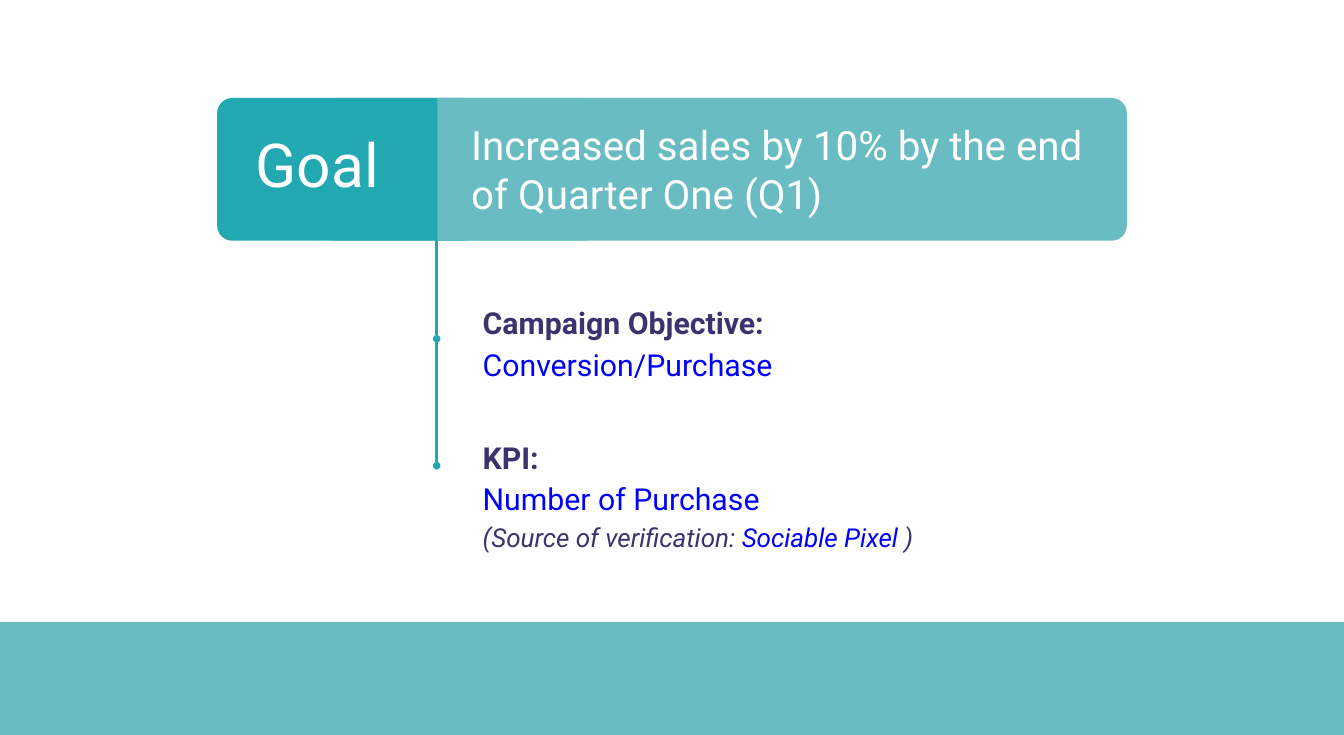
"""Campaign goal slide with its objective and KPI."""
from lxml.etree import SubElement
from pptx import Presentation
from pptx.dml.color import RGBColor
from pptx.enum.shapes import MSO_CONNECTOR, MSO_SHAPE
from pptx.enum.text import MSO_ANCHOR
from pptx.oxml.ns import qn
from pptx.util import Inches, Pt

COLORS = {"teal": "21A8B0", "aqua": "69BCC1", "plum": "3B336E",
          "blue": "0000FF", "white": "FFFFFF"}


def color(name):
    return RGBColor.from_string(COLORS[name])


def write(par, text, size=36, tint="plum", bold=False, italic=False, font="Roboto"):
    run = par.add_run()
    run.text = text
    face = run.font
    face.name, face.size = font, Pt(size)
    face.bold, face.italic = bold, italic
    face.color.rgb = color(tint)


class Board:
    def __init__(self, deck):
        self.slide = deck.slides.add_slide(deck.slide_layouts[6])
        self.shapes = self.slide.shapes

    def block(self, left, top, width, height, tint, round=0):
        kind = MSO_SHAPE.ROUNDED_RECTANGLE if round else MSO_SHAPE.RECTANGLE
        shape = self.shapes.add_shape(
            kind, Inches(left), Inches(top), Inches(width), Inches(height))
        if round:
            shape.adjustments[0] = round
        shape.shadow.inherit = False
        shape.fill.solid()
        shape.fill.fore_color.rgb = color(tint)
        shape.line.fill.background()

    def stem(self, x, top, end):
        line = self.shapes.add_connector(
            MSO_CONNECTOR.STRAIGHT, Inches(x), Inches(top), Inches(x), Inches(end))
        line.line.color.rgb = color("teal")
        line.line.width = Pt(3)
        SubElement(line.line._get_or_add_ln(), qn("a:tailEnd"), type="oval")
        SubElement(line._element.spPr, qn("a:effectLst"))

    def text(self, left, top, width, height, rows, inset=0.22, space=1.0):
        box = self.shapes.add_textbox(
            Inches(left), Inches(top), Inches(width), Inches(height))
        frame = box.text_frame
        frame.word_wrap = True
        frame.vertical_anchor = MSO_ANCHOR.MIDDLE
        frame.margin_left = frame.margin_right = Inches(inset)
        frame.margin_top = frame.margin_bottom = Inches(inset)
        for i, row in enumerate(rows):
            par = frame.add_paragraph() if i else frame.paragraphs[0]
            par.line_spacing = space
            for words, style in row:
                write(par, words, **style)


def main():
    deck = Presentation()
    deck.slide_width, deck.slide_height = Inches(22.22), Inches(12.15)
    board = Board(deck)
    head, value = {"bold": True}, {"tint": "blue"}
    note = {"size": 31, "italic": True}

    board.block(0, 10.28, 22.22, 1.87, "aqua")
    for top in (5.6, 3.5):
        board.stem(7.22, top, top + 2.1)

    board.text(7.76, 4.88, 6.92, 1.5, [
        [("Campaign Objective:", head)],
        [("Conversion/Purchase", value)],
    ], space=1.15)
    board.text(7.76, 6.89, 10.05, 2.52, [
        [("KPI:", head)],
        [("Number of Purchase", value)],
        [("(Source of verification: ", note),
         ("Sociable Pixel ", note | value),
         (")", note)],
    ], space=1.15)

    for left, width, tint, round in ((5.31, 13.32, "aqua", 0.106),
                                     (3.59, 4.31, "teal", 0.106),
                                     (7.23, 2.46, "aqua", 0)):
        board.block(left, 1.62, width, 2.36, tint, round)
    board.text(7.57, 1.71, 10.87, 2.16, [
        [("Increased sales by 10% by the end of Quarter One (Q1)",
          {"size": 48, "tint": "white"})]])
    board.text(4.13, 1.64, 2.62, 2.13,
               [[("Goal", {"size": 72, "tint": "white"})]], inset=0.1)
    deck.save("out.pptx")


if __name__ == "__main__":
    main()
